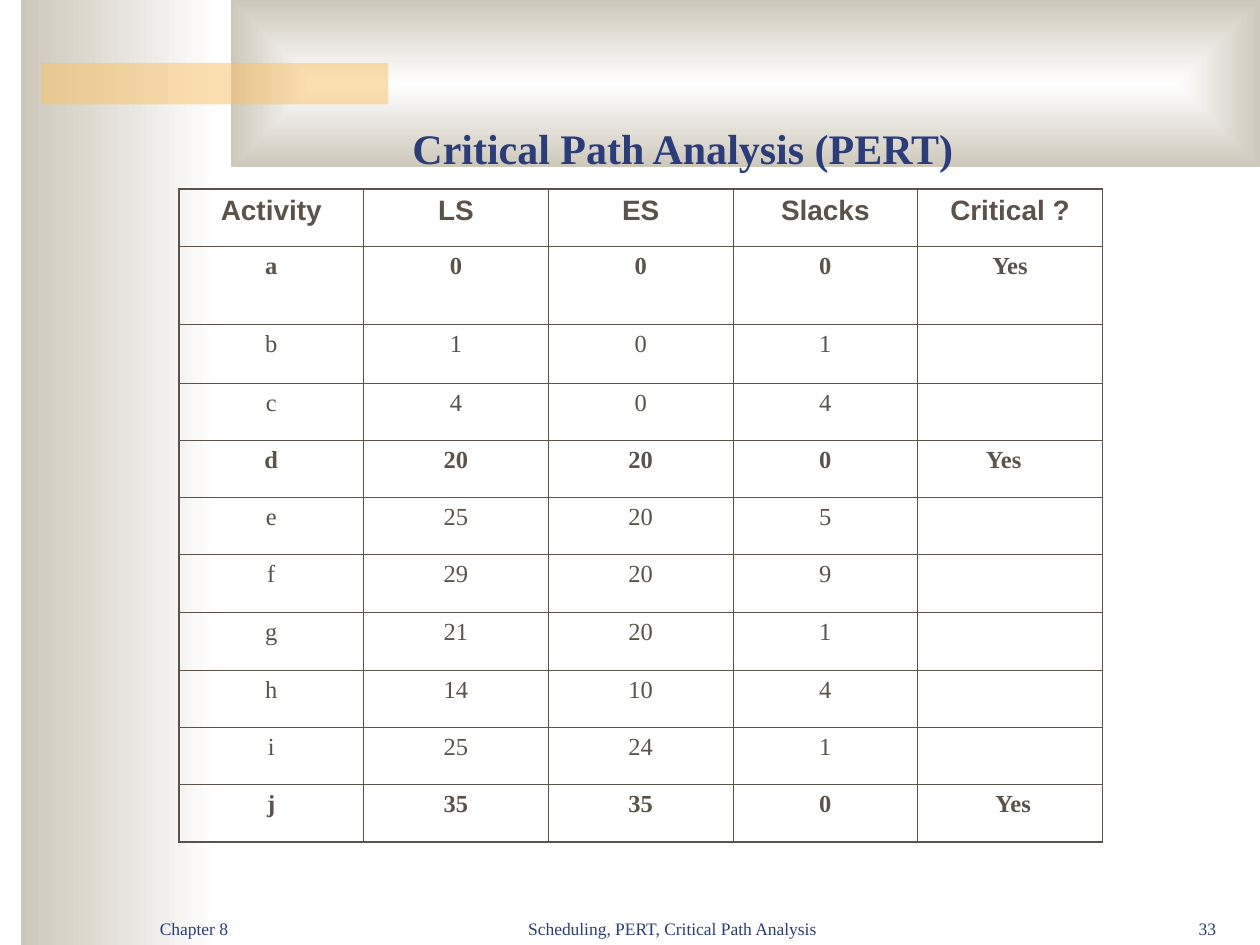
from lxml import etree
from pptx import Presentation
from pptx.dml.color import RGBColor
from pptx.enum.shapes import MSO_SHAPE
from pptx.enum.text import MSO_ANCHOR, MSO_AUTO_SIZE, PP_ALIGN
from pptx.oxml import parse_xml
from pptx.oxml.ns import nsdecls, qn
from pptx.util import Inches, Pt

COLORS = {"navy": "2A3D7A", "brown": "5B5249", "white": "FFFFFF",
          "stone": "CEC8BA", "amber": "FAC164"}

TITLE = "Critical Path Analysis (PERT)"
HEADINGS = ["Activity", "LS", "ES", "Slacks", "Critical ?"]
ACTIVITIES = [
    ("a", 0, 0, 0, "Yes"),
    ("b", 1, 0, 1, ""),
    ("c", 4, 0, 4, ""),
    ("d", 20, 20, 0, "Yes"),
    ("e", 25, 20, 5, ""),
    ("f", 29, 20, 9, ""),
    ("g", 21, 20, 1, ""),
    ("h", 14, 10, 4, ""),
    ("i", 25, 24, 1, ""),
    ("j", 35, 35, 0, "Yes"),
]
# text, left, width, alignment
FOOTERS = [
    ("Scheduling, PERT, Critical Path Analysis", 3.75, 3.17, PP_ALIGN.CENTER),
    ("33", 8.75, 1, PP_ALIGN.RIGHT),
    ("Chapter 8", 1.17, 2.08, PP_ALIGN.LEFT),
]

SIDE_BAND = (0.17, 0, 1.58, 7.5)
TOP_BAND = (1.83, 0, 8.17, 1.33)
ACCENT_BAR = (0.33, 0.5, 2.75, 0.33)
TITLE_BOX = (1.17, 0.67, 8.5, 0.75)
TABLE_BOX = (1.42, 1.5, 7.33, 5.16)
FOOTER_TOP, FOOTER_HEIGHT = 7, 0.5
ROW_HEIGHT = 0.455
TALL_ROWS = {1: 0.62, 2: 0.465, 7: 0.46}
# nudges that set the "Yes" of activities d and j off centre
YES_MARGINS = {"d": {"margin_right": Inches(0.2)}, "j": {"margin_left": Inches(0.15)}}
THIN, THICK = 0.45, 1.08

TITLE_FONT = {"name": "Times New Roman", "size": Pt(24), "bold": True}
HEADING_FONT = {"name": "Arial", "size": Pt(16), "bold": True}
BODY_FONT = {"name": "Times New Roman", "size": Pt(14)}
FOOTER_FONT = {"name": "Times New Roman", "size": Pt(10), "bold": False}
BOTTOM_FRAME = {"word_wrap": True, "auto_size": MSO_AUTO_SIZE.NONE,
                "vertical_anchor": MSO_ANCHOR.BOTTOM}


def rgb(color):
    return RGBColor.from_string(COLORS[color])


def apply(target, values):
    for attribute, value in values.items():
        setattr(target, attribute, value)


def write(frame, text, font, color, align, space_before=0):
    paragraph = frame.paragraphs[0]
    apply(paragraph, {"alignment": align, "space_before": Pt(space_before)})
    run = paragraph.add_run()
    run.text = text
    apply(run.font, font)
    run.font.color.rgb = rgb(color)


def add_band(slide, box):
    band = slide.shapes.add_shape(MSO_SHAPE.RECTANGLE, *map(Inches, box))
    band.shadow.inherit = False
    band.line.fill.background()
    return band


def fill_gradient(band):
    band.fill.gradient()
    band.fill.gradient_angle = 180
    for stop, color in zip(band.fill.gradient_stops, ("white", "stone")):
        stop.color.rgb = rgb(color)


def make_rectangular(band):
    """Turn the band's linear gradient into one that spreads from its centre."""
    linear = band._element.spPr.find(".//" + qn("a:lin"))
    linear.getparent().replace(linear, parse_xml(
        f'<a:path {nsdecls("a")} path="rect">'
        '<a:fillToRect l="50000" t="50000" r="50000" b="50000"/></a:path>'))


def add_decoration(slide):
    fill_gradient(add_band(slide, SIDE_BAND))
    top_band = add_band(slide, TOP_BAND)
    fill_gradient(top_band)
    make_rectangular(top_band)
    accent = add_band(slide, ACCENT_BAR)
    accent.fill.solid()
    accent.fill.fore_color.rgb = rgb("amber")
    color = accent._element.spPr.find(".//" + qn("a:srgbClr"))
    etree.SubElement(color, qn("a:alpha"), val="50000")
    return accent


def set_borders(cell, widths):
    properties = cell._tc.get_or_add_tcPr()
    for index, (side, width) in enumerate(widths.items()):
        properties.insert(index, parse_xml(
            f'<a:ln{side} {nsdecls("a")} w="{Pt(width)}"><a:solidFill>'
            f'<a:srgbClr val="{COLORS["brown"]}"/></a:solidFill></a:ln{side}>'))


def add_activity_table(slide):
    rows = [HEADINGS, *ACTIVITIES]
    last_row, last_column = len(rows) - 1, len(HEADINGS) - 1
    table = slide.shapes.add_table(len(rows), len(HEADINGS),
                                   *map(Inches, TABLE_BOX)).table
    apply(table, {"first_row": False, "horz_banding": False})
    for column in table.columns:
        column.width = Inches(TABLE_BOX[2] / len(HEADINGS))
    for r, values in enumerate(rows):
        table.rows[r].height = Inches(TALL_ROWS.get(r, ROW_HEIGHT))
        font, space_before = HEADING_FONT, 4
        if r > 0:
            font, space_before = {**BODY_FONT, "bold": values[-1] == "Yes"}, 3.5
        for c, value in enumerate(values):
            cell = table.cell(r, c)
            cell.fill.background()
            set_borders(cell, {"L": THICK if c == 0 else THIN,
                               "R": THICK if c == last_column else THIN,
                               "T": THICK if r == 0 else THIN,
                               "B": THICK if r == last_row else THIN})
            if value != "":
                write(cell.text_frame, str(value), font, "brown",
                      PP_ALIGN.CENTER, space_before)
        apply(table.cell(r, last_column), YES_MARGINS.get(values[0], {}))


def main():
    deck = Presentation()
    apply(deck, {"slide_width": Inches(10), "slide_height": Inches(7.5)})
    slide = deck.slides.add_slide(deck.slide_layouts[5])

    accent = add_decoration(slide)
    title = slide.shapes.title
    accent._element.addnext(title._element)
    apply(title, dict(zip(("left", "top", "width", "height"), map(Inches, TITLE_BOX))))
    apply(title.text_frame, BOTTOM_FRAME)
    write(title.text_frame, TITLE, TITLE_FONT, "navy", PP_ALIGN.CENTER)

    add_activity_table(slide)
    for text, left, width, align in FOOTERS:
        footer = slide.shapes.add_textbox(
            *map(Inches, (left, FOOTER_TOP, width, FOOTER_HEIGHT)))
        apply(footer.text_frame, BOTTOM_FRAME)
        write(footer.text_frame, text, FOOTER_FONT, "navy", align)
    deck.save("out.pptx")


if __name__ == "__main__":
    main()
